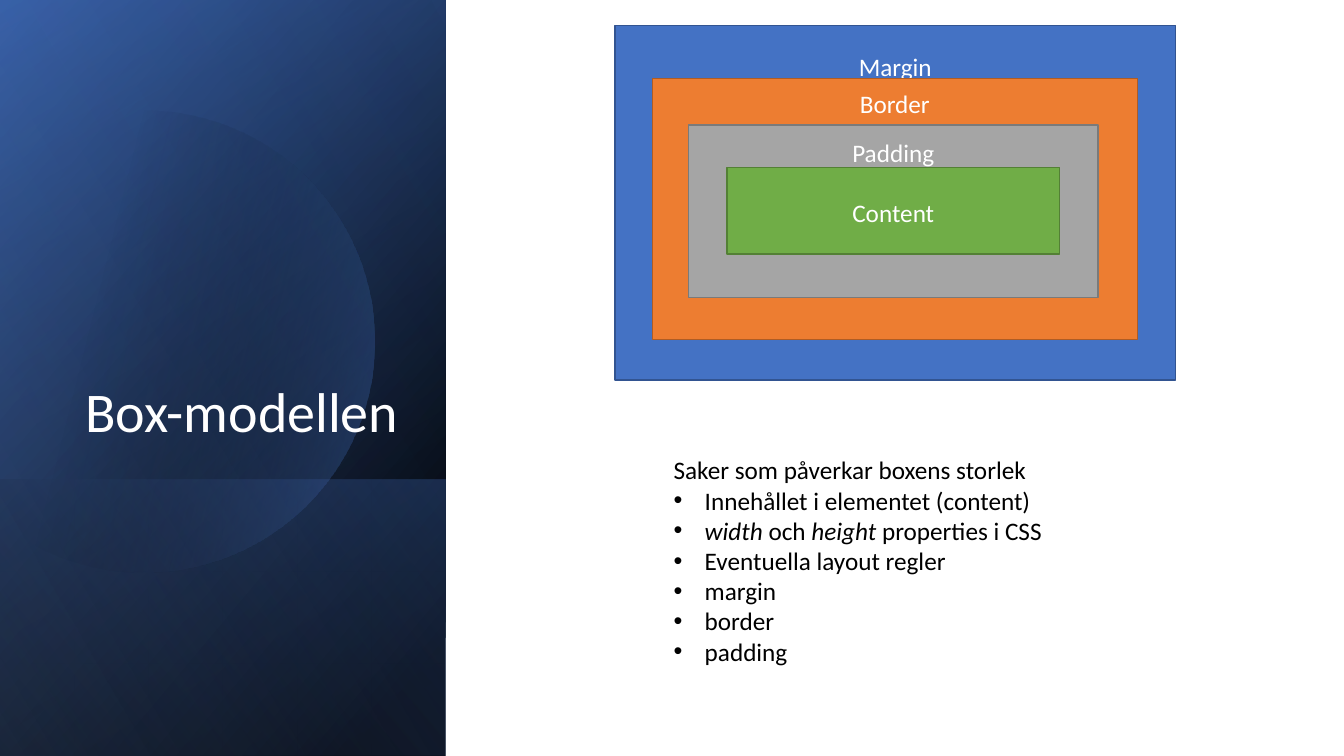
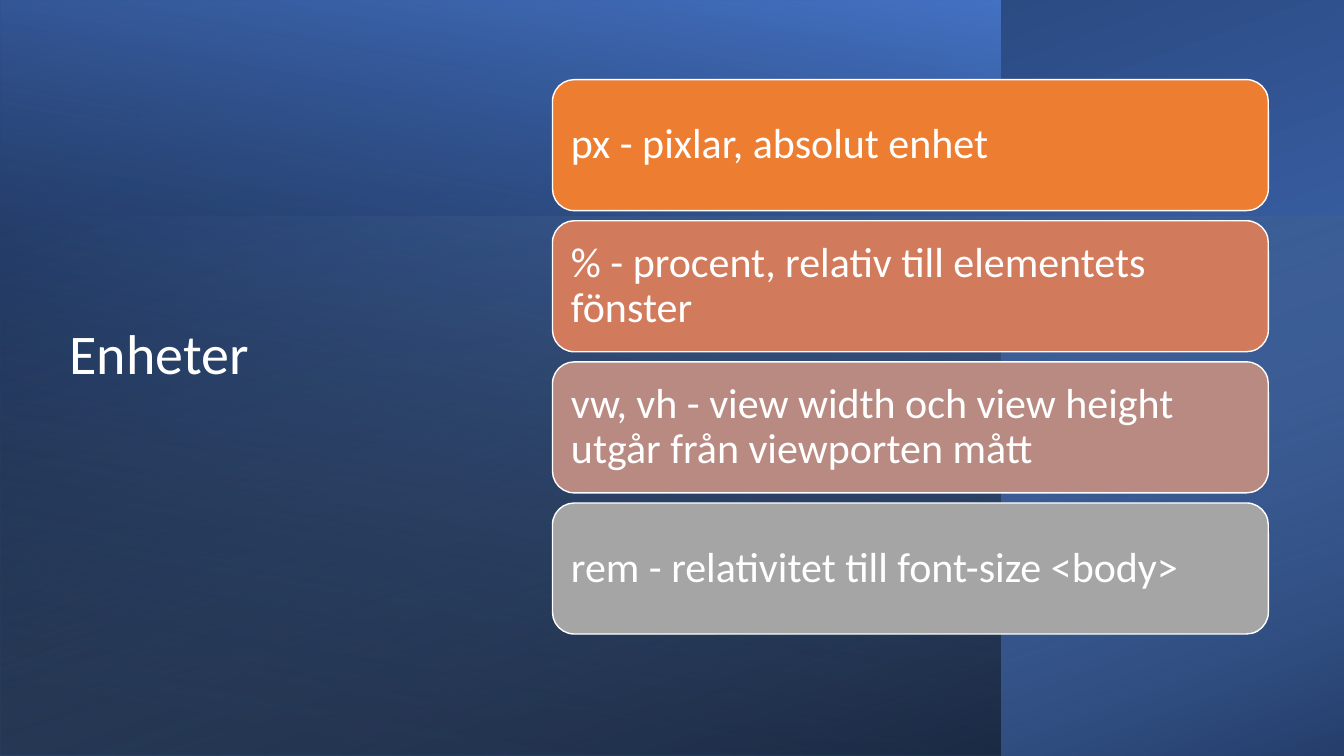
"""Build two slides on the CSS box model and CSS units."""
from dataclasses import dataclass
from math import acos, cos, sin
from typing import NamedTuple

from pptx import Presentation
from pptx import util as u
from pptx.dml.color import RGBColor
from pptx.enum import shapes, text
from pptx.oxml import ns, parse_xml


@dataclass(frozen=True)
class Theme:
    """Colours, font and type sizes shared by the slides."""

    font: str = "Calibri"
    title_size: int = 40
    card_size: int = 30
    body_size: int = 18
    white: str = "FFFFFF"
    black: str = "000000"
    blue: str = "4472C4"
    blue_edge: str = "325491"
    deep_blue: str = "2F5597"
    navy: str = "203864"
    pale_blue: str = "8FAADC"
    sky: str = "9DC3E6"
    orange: str = "ED7D31"
    orange_edge: str = "AF5C24"
    terracotta: str = "D17B5C"
    rose: str = "B98A82"
    grey: str = "A5A5A5"
    grey_edge: str = "7A7A7A"
    green: str = "70AD47"
    green_edge: str = "538035"


class Box(NamedTuple):
    """A region in inches."""

    left: float
    top: float
    width: float
    height: float

    def lengths(self):
        """Return the region as lengths."""
        return [u.Inches(value) for value in self]

    def inner(self, left, top, width, height):
        """Return a region offset from this one."""
        return Box(self.left + left, self.top + top, width, height)


THEME = Theme()
SLIDE = Box(0, 0, 13.33, 7.5)


def add_run(paragraph, words, size, color, italic=False):
    """Add one formatted run."""
    run = paragraph.add_run()
    run.text = words
    run.font.name = THEME.font
    run.font.size = u.Pt(size)
    run.font.italic = italic
    run.font.color.rgb = RGBColor.from_string(color)


def move(shape, box):
    """Place a shape in a box."""
    shape.left, shape.top, shape.width, shape.height = box.lengths()


def fill_gradient(shape, stops, angle):
    """Fill a shape with position, colour and opacity stops, without outline."""
    shape.shadow.inherit = False
    shape.line.fill.background()
    shape.fill.background()
    marks = "".join(
        f'<a:gs pos="{position * 1000}"><a:srgbClr val="{color}">'
        f'<a:alpha val="{opacity * 1000}"/></a:srgbClr></a:gs>'
        for position, color, opacity in stops
    )
    gradient = parse_xml(
        f'<a:gradFill {ns.nsdecls("a")} rotWithShape="1"><a:gsLst>{marks}</a:gsLst>'
        f'<a:lin ang="{angle * 60000}" scaled="0"/></a:gradFill>'
    )
    properties = shape.element.spPr
    properties.replace(properties.find(ns.qn("a:noFill")), gradient)


def add_gradient_panel(slide, box, rotation, stops, angle):
    """Add a mirrored, turned rectangle that covers the box."""
    width, height = box.width, box.height
    if rotation % 180:
        width, height = height, width
    turned = box.inner((box.width - width) / 2, (box.height - height) / 2, width, height)
    panel = slide.shapes.add_shape(shapes.MSO_SHAPE.RECTANGLE, *turned.lengths())
    panel.rotation = rotation
    panel.element.spPr.xfrm.set("flipH", "1")
    fill_gradient(panel, stops, angle)


def add_clipped_disc(slide, box, center_x, center_y, radius):
    """Add a disc cut off at the left edge of the box."""
    limit = acos(-center_x / radius)
    steps = 120
    angles = [limit * (2 * step / steps - 1) for step in range(steps + 1)]
    points = [
        (
            u.Inches(box.left + center_x + radius * cos(angle)),
            u.Inches(box.top + center_y + radius * sin(angle)),
        )
        for angle in angles
    ]
    builder = slide.shapes.build_freeform(*points[0])
    builder.add_line_segments(points[1:], close=True)
    disc = builder.convert_to_shape()
    fill_gradient(disc, [(29, THEME.black, 0), (100, THEME.blue, 43)], 14)


def add_title(slide, box, words, alignment, anchor):
    """Place the title placeholder in front of the backdrop."""
    title = slide.shapes.title
    slide.shapes.element.append(title.element)
    move(title, box)
    frame = title.text_frame
    frame.word_wrap = True
    frame.auto_size = text.MSO_AUTO_SIZE.NONE
    frame.vertical_anchor = anchor
    paragraph = frame.paragraphs[0]
    paragraph.alignment = alignment
    paragraph.line_spacing = 0.9
    add_run(paragraph, words, THEME.title_size, THEME.white)


def add_filled_shape(collection, kind, box, fill, line):
    """Add a flat shape with a thin outline."""
    shape = collection.add_shape(kind, *box.lengths())
    shape.shadow.inherit = False
    shape.fill.solid()
    shape.fill.fore_color.rgb = RGBColor.from_string(fill)
    shape.line.color.rgb = RGBColor.from_string(line)
    shape.line.width = u.Pt(1)
    shape.text_frame.word_wrap = True
    return shape


def add_side_panel(slide, box):
    """Layer the gradients of the left panel."""
    add_gradient_panel(slide, box, 90, [(8, THEME.black, 100), (100, THEME.deep_blue, 100)], 50)
    add_gradient_panel(slide, box, 90, [(0, THEME.black, 0), (99, THEME.blue, 46)], 30)
    foot = box.inner(0, box.height - 2.74, box.width, 2.74)
    add_gradient_panel(slide, foot, 90, [(2, THEME.blue, 29), (100, THEME.black, 30)], 130)
    add_clipped_disc(slide, box, 1.42, 3.39, 2.29)
    add_gradient_panel(slide, box, 90, [(0, THEME.black, 0), (99, THEME.pale_blue, 11)], 120)


def add_box_model(slide, box):
    """Draw the nested boxes of the model."""
    layers = [
        ("Margin", box, THEME.blue, THEME.blue_edge, 0.26),
        ("Border", box.inner(0.37, 0.53, 4.81, 2.59), THEME.orange, THEME.orange_edge, 0.1),
        ("Padding", box.inner(0.73, 0.99, 4.06, 1.71), THEME.grey, THEME.grey_edge, 0.12),
        ("Content", box.inner(1.11, 1.41, 3.3, 0.86), THEME.green, THEME.green_edge, 0.3),
    ]
    group = slide.shapes.add_group_shape()
    for name, area, fill, line, inset in layers:
        layer = add_filled_shape(group.shapes, shapes.MSO_SHAPE.RECTANGLE, area, fill, line)
        frame = layer.text_frame
        frame.vertical_anchor = text.MSO_ANCHOR.TOP
        frame.margin_top = u.Inches(inset)
        paragraph = frame.paragraphs[0]
        paragraph.alignment = text.PP_ALIGN.CENTER
        add_run(paragraph, name, THEME.body_size, THEME.white)


def add_size_list(slide, box):
    """Fill the body placeholder with a lead line and its bullets."""
    lines = [
        [("Saker som påverkar boxens storlek", False)],
        [("Innehållet i elementet (content)", False)],
        [("width", True), (" och ", False), ("height ", True), ("properties i CSS", False)],
        [("Eventuella layout regler", False)],
        [("margin", False)],
        [("border", False)],
        [("padding", False)],
    ]
    body = slide.placeholders[1]
    slide.shapes.element.append(body.element)
    move(body, box)
    frame = body.text_frame
    frame.word_wrap = True
    frame.auto_size = text.MSO_AUTO_SIZE.NONE
    for index, pieces in enumerate(lines):
        paragraph = frame.add_paragraph() if index else frame.paragraphs[0]
        paragraph.space_before = u.Pt(0)
        paragraph.line_spacing = 1.0
        indent = u.Inches(0.31) if index else 0
        properties = paragraph._p.get_or_add_pPr()
        properties.set("marL", str(int(indent)))
        properties.set("indent", str(-int(indent)))
        if not index:
            properties.append(parse_xml(f'<a:buNone {ns.nsdecls("a")}/>'))
        for words, italic in pieces:
            add_run(paragraph, words, THEME.body_size, THEME.black, italic)


def add_full_backdrop(slide, box):
    """Layer the gradients behind a whole slide."""
    add_gradient_panel(slide, box, 270, [(8, THEME.blue, 100), (100, THEME.navy, 100)], 200)
    main_area = box.inner(0, 0, 9.92, box.height)
    add_gradient_panel(slide, main_area, 180, [(8, THEME.black, 52), (100, THEME.blue, 100)], 80)
    lower = box.inner(0, box.height - 5.35, box.width, 5.35)
    add_gradient_panel(slide, lower, 270, [(0, THEME.sky, 0), (100, THEME.black, 46)], 20)


def add_unit_cards(slide, box):
    """Stack one rounded card for each unit."""
    cards = [
        (["px - pixlar, absolut enhet"], THEME.orange),
        (["% - procent, relativ till elementets fönster"], THEME.terracotta),
        (["vw, vh - view width och view height", "utgår från viewporten mått"], THEME.rose),
        (["rem - relativitet till font-size <body>"], THEME.grey),
    ]
    gap = 0.1
    height = (box.height - gap * (len(cards) - 1)) / len(cards)
    for index, (lines, fill) in enumerate(cards):
        area = box.inner(0, index * (height + gap), box.width, height)
        card = add_filled_shape(
            slide.shapes, shapes.MSO_SHAPE.ROUNDED_RECTANGLE, area, fill, THEME.white
        )
        frame = card.text_frame
        frame.vertical_anchor = text.MSO_ANCHOR.MIDDLE
        frame.margin_left = frame.margin_right = u.Inches(0.12)
        paragraph = frame.paragraphs[0]
        paragraph.alignment = text.PP_ALIGN.LEFT
        paragraph.line_spacing = 0.9
        for number, line in enumerate(lines):
            if number:
                paragraph.add_line_break()
            add_run(paragraph, line, THEME.card_size, THEME.white)


def build_box_model_slide(presentation):
    """Build the slide on the box model."""
    slide = presentation.slides.add_slide(presentation.slide_layouts[1])
    add_side_panel(slide, Box(0, 0, 4.42, SLIDE.height))
    add_title(
        slide, Box(0.64, 1.84, 3.41, 2.62), "Box-modellen",
        text.PP_ALIGN.RIGHT, text.MSO_ANCHOR.BOTTOM,
    )
    add_box_model(slide, Box(6.1, 0.25, 5.56, 3.52))
    add_size_list(slide, Box(6.58, 4.46, 4.52, 2.22))


def build_units_slide(presentation):
    """Build the slide on units."""
    slide = presentation.slides.add_slide(presentation.slide_layouts[5])
    add_full_backdrop(slide, SLIDE)
    add_title(
        slide, Box(0.59, 0.75, 3.04, 5.58), "Enheter",
        text.PP_ALIGN.LEFT, text.MSO_ANCHOR.MIDDLE,
    )
    add_unit_cards(slide, Box(5.48, 0.79, 7.1, 5.5))


def main():
    """Build and save the presentation."""
    presentation = Presentation()
    presentation.slide_width = u.Inches(SLIDE.width)
    presentation.slide_height = u.Inches(SLIDE.height)
    build_box_model_slide(presentation)
    build_units_slide(presentation)
    presentation.save("out.pptx")


if __name__ == "__main__":
    main()
